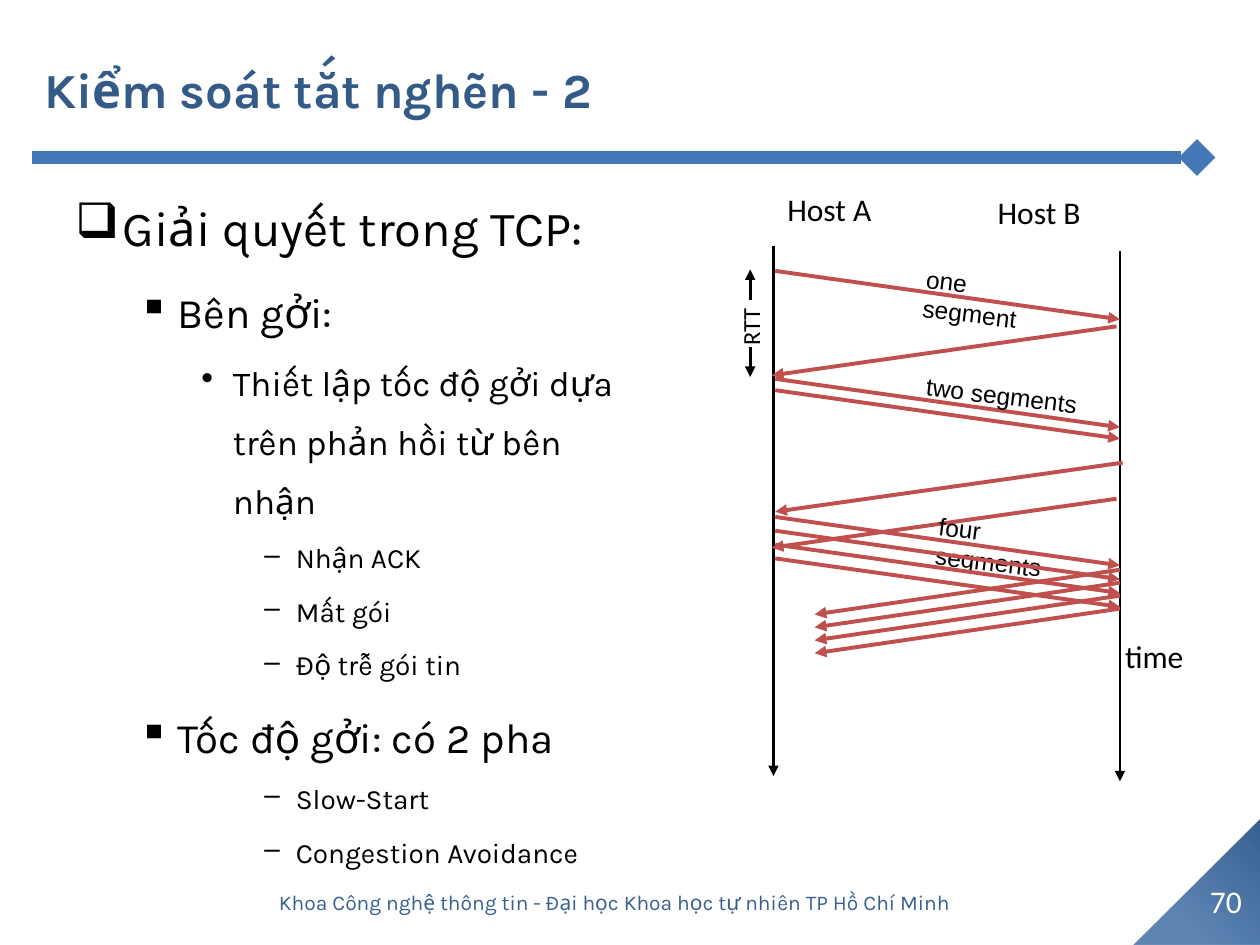
from lxml import etree
from pptx import Presentation
from pptx.dml.color import RGBColor
from pptx.enum import shapes, text
from pptx.oxml import ns, parse_xml
from pptx.util import Pt

COLORS = {"title": "345A88", "rule": "4477B5", "corner": "376092", "corner_light": "3D6CA4",
          "footer": "376092", "segment": "C0504D", "ink": "000000", "page": "FFFFFF"}

# level: (left margin, hanging indent, bullet, size)
LEVELS = [(27, 27, "❑", 28), (58.5, 22.5, "▪", 24), (90, 18, "•", 20), (126, 18, "–", 16)]

OUTLINE = [
    (0, "Giải quyết trong TCP:"),
    (1, "Bên gởi:"),
    (2, "Thiết lập tốc độ gởi dựa trên phản hồi từ bên nhận"),
    (3, "Nhận ACK"),
    (3, "Mất gói"),
    (3, "Độ trễ gói tin"),
    (1, "Tốc độ gởi: có 2 pha"),
    (3, "Slow-Start"),
    (3, "Congestion Avoidance"),
]


def color(name):
    return RGBColor.from_string(COLORS[name])


def style(paragraph, font, size, ink, bold=False):
    for run in paragraph.runs:
        run.font.name, run.font.size, run.font.bold = font, Pt(size), bold
        run.font.color.rgb = color(ink)


def add_line(slide, start, end, ink, width, tip="triangle"):
    line = slide.shapes.add_connector(shapes.MSO_CONNECTOR.STRAIGHT, *map(Pt, start + end))
    line.line.color.rgb = color(ink)
    line.line.width = Pt(width)
    etree.SubElement(line.line._get_or_add_ln(), ns.qn("a:tailEnd"), type=tip)
    etree.SubElement(line._element.spPr, ns.qn("a:effectLst"))


def add_label(slide, box, words, font="Calibri", size=18, ink="ink", rotation=0):
    """Unwrapped text that sizes its own box."""
    label = slide.shapes.add_textbox(*map(Pt, box))
    label.rotation = rotation
    frame = label.text_frame
    frame.text = words
    frame.word_wrap = False
    frame.auto_size = text.MSO_AUTO_SIZE.SHAPE_TO_FIT_TEXT
    style(frame.paragraphs[0], font, size, ink)


def add_centred(slide, box, words, font, size, ink):
    frame = slide.shapes.add_textbox(*map(Pt, box)).text_frame
    frame.text = words
    frame.word_wrap = True
    frame.vertical_anchor = text.MSO_ANCHOR.MIDDLE
    frame.paragraphs[0].alignment = text.PP_ALIGN.CENTER
    style(frame.paragraphs[0], font, size, ink)


def add_corner(slide, left, top, side):
    corner = slide.shapes.add_shape(shapes.MSO_SHAPE.RIGHT_TRIANGLE,
                                    Pt(left), Pt(top), Pt(side), Pt(side))
    corner.rotation = 270
    corner.shadow.inherit = False
    corner.line.fill.background()
    corner._element.spPr.find(ns.qn("a:prstGeom")).addnext(parse_xml(
        f'<a:gradFill {ns.nsdecls("a")} rotWithShape="1"><a:gsLst>'
        f'<a:gs pos="0"><a:srgbClr val="{COLORS["corner"]}"/></a:gs>'
        f'<a:gs pos="68000"><a:srgbClr val="{COLORS["corner_light"]}">'
        '<a:alpha val="83000"/></a:srgbClr></a:gs></a:gsLst>'
        '<a:path path="circle"><a:fillToRect l="100000" b="100000"/></a:path></a:gradFill>'))


def fill_title(slide, left, top, width, height):
    title = slide.shapes.title
    title.left, title.top, title.width, title.height = map(Pt, (left, top, width, height))
    frame = title.text_frame
    frame.text = "Kiểm soát tắt nghẽn - 2"
    frame.vertical_anchor = text.MSO_ANCHOR.MIDDLE
    frame.paragraphs[0].alignment = text.PP_ALIGN.LEFT
    style(frame.paragraphs[0], "Karla", 28, "title", bold=True)
    add_line(slide, (left, top + 84), (left + 666, top + 84), "rule", 7, "diamond")


def add_outline(slide, left, top, width, height):
    frame = slide.shapes.add_textbox(Pt(left), Pt(top), Pt(width), Pt(height)).text_frame
    frame.word_wrap = True
    for index, (level, words) in enumerate(OUTLINE):
        margin, hanging, bullet, size = LEVELS[level]
        paragraph = frame.add_paragraph() if index else frame.paragraphs[0]
        paragraph.text = words
        paragraph.level = level
        paragraph.line_spacing = 1.4
        if index:
            paragraph.space_before = Pt(round(size * 0.23, 1))
        properties = paragraph._p.get_or_add_pPr()
        properties.set("marL", str(Pt(margin)))
        properties.set("indent", str(-Pt(hanging)))
        etree.SubElement(properties, ns.qn("a:buChar"), char=bullet)
        style(paragraph, "Karla", size, "ink")


def add_sequence(slide, left, top):
    """Segments and acknowledgements exchanged between the two hosts."""
    host_a, host_b = left + 42, left + 240

    def send(y):
        add_line(slide, (host_a + 1, top + y), (host_b, top + y + 27.7), "segment", 2.25)

    def acknowledge(y, start=host_b, end=host_a, drop=28):
        add_line(slide, (start, top + y), (end, top + y + drop), "segment", 2.25)

    def label_round(x, y, width, words):
        add_label(slide, (left + x, top + y, width, 24), words, "Arial", 14, rotation=6.8)

    for x, y, width, words in ((42.8, 5, 67, "Host A"), (163, 6.5, 65.5, "Host B"),
                               (235.8, 260.7, 52, "time")):
        add_label(slide, (left + x, top + y, width, 27), words)
    add_label(slide, (left + 7.5, top + 71.4, 42.5, 24), "RTT", size=14, rotation=270)
    for start, end in ((71.4, 54), (98, 115.4)):
        add_line(slide, (left + 28.7, top + start), (left + 28.7, top + end), "ink", 1.5)
    for x, y in ((host_a, 40.4), (host_b, 43.4)):
        add_line(slide, (x, top + y), (x, top + y + 303), "ink", 1.5)

    for y in (54.8, 116.5, 123):
        send(y)
    acknowledge(86.5, host_b - 2, host_a - 1)
    acknowledge(164.4, host_b + 1.5, host_a + 1)
    acknowledge(185, host_b - 2, host_a - 1)

    label_round(122, 51.9, 95, "one segment")
    label_round(122, 113.8, 101, "two segments")
    label_round(129.2, 193.8, 103, "four segments")

    for step in range(4):
        send(195.4 + 7.9 * step)
        acknowledge(225.6 + 7.4 * step, end=left + 65.5, drop=25.5)


def main():
    deck = Presentation()
    deck.slide_width, deck.slide_height = Pt(720), Pt(540)
    slide = deck.slides.add_slide(deck.slide_layouts[5])
    add_corner(slide, 648, 468, 72)
    fill_title(slide, 18, 6, 689, 90)
    add_outline(slide, 36, 96, 336, 414)
    add_sequence(slide, 400, 100)
    add_centred(slide, (681, 500, 39, 29), "70", "Calibri", 18, "page")
    add_centred(slide, (90, 501, 522, 29),
                "Khoa Công nghệ thông tin - Đại học Khoa học tự nhiên TP Hồ Chí Minh",
                "Karla", 12, "footer")
    deck.save("out.pptx")


if __name__ == "__main__":
    main()
